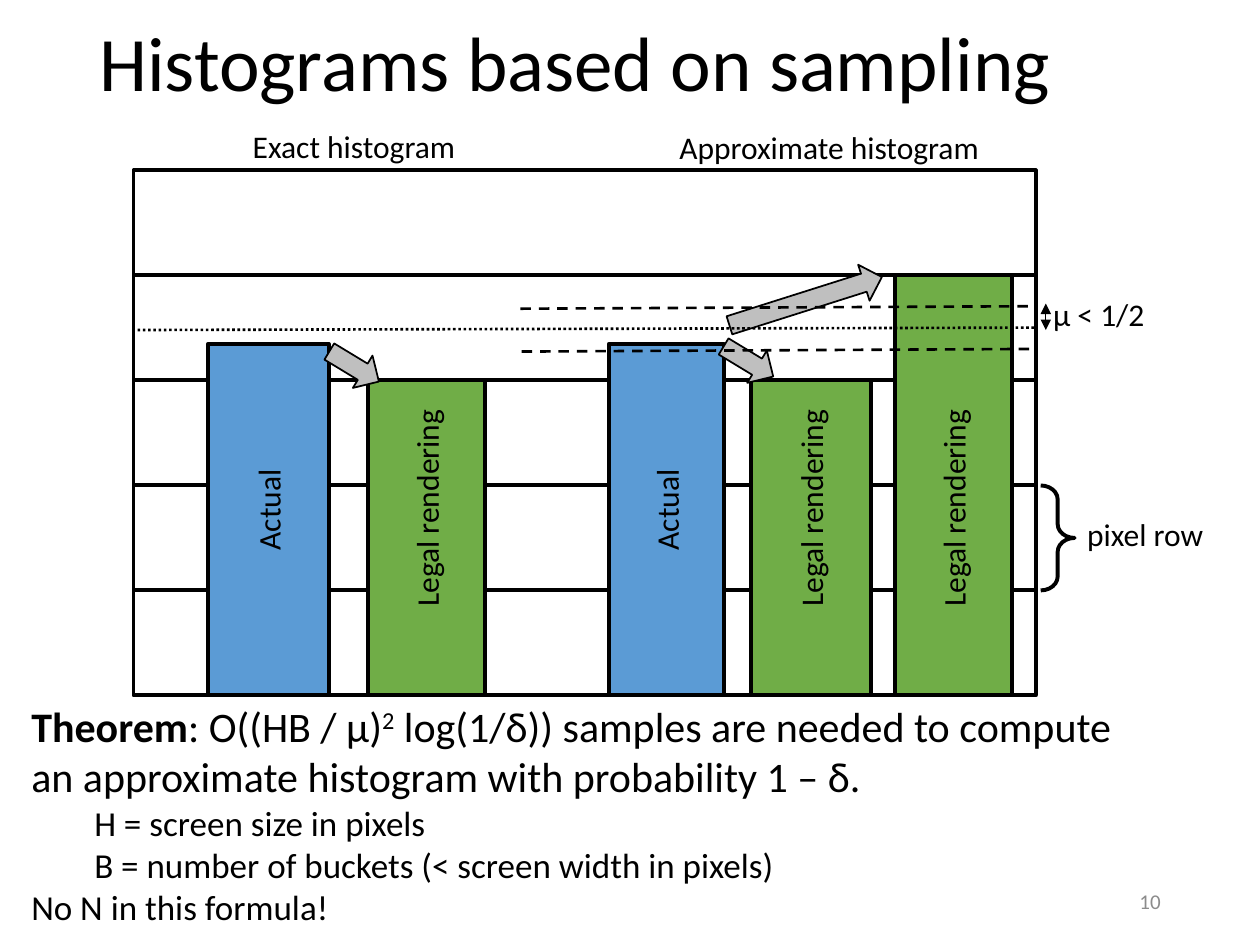
from dataclasses import dataclass
from typing import Optional

from lxml.etree import SubElement
from pptx import Presentation
from pptx.dml.color import RGBColor
from pptx.enum.dml import MSO_LINE
from pptx.enum.shapes import MSO_CONNECTOR, MSO_SHAPE
from pptx.enum.text import MSO_ANCHOR, PP_ALIGN
from pptx.oxml.ns import qn
from pptx.util import Pt

COLOURS = {
    "black": "000000",
    "actual": "5B9BD5",
    "legal": "70AD47",
    "arrow": "BFBFBF",
    "number": "8C8C8C",
}
FONT = "Calibri"

GRID_LEFT, GRID_TOP, GRID_WIDTH = 76.3, 97.4, 515.5
ROW_HEIGHT, ROW_COUNT = 60, 5
GRID_BOTTOM = GRID_TOP + ROW_COUNT * ROW_HEIGHT
ACTUAL_TOP = 196.6
LABEL_HEIGHT = 29


@dataclass
class Bar:
    left: float
    width: float
    top: float
    kind: str


@dataclass
class BlockArrow:
    left: float
    top: float
    width: float
    rotation: float


@dataclass
class Line:
    start: tuple[float, float]
    end: tuple[float, float]
    weight: float = 1.5
    dash: Optional[MSO_LINE] = None
    double_headed: bool = False


@dataclass
class Label:
    text: str
    left: float
    top: float
    width: float
    height: float = LABEL_HEIGHT
    size: float = 18
    colour: str = "black"
    align: PP_ALIGN = PP_ALIGN.LEFT
    anchor: MSO_ANCHOR = MSO_ANCHOR.TOP
    wrap: bool = False
    rotation: float = 0
    line_spacing: Optional[float] = None


@dataclass
class Span:
    text: str
    bold: bool = False
    superscript: bool = False
    break_after: bool = False


@dataclass
class TheoremLine:
    spans: list[Span]
    size: float = 20
    indent: float = 0


# Each bar's label and fill follow from its kind.
BAR_LABELS = {"actual": ("Actual", 61.2, 290.9), "legal": ("Legal rendering", 128.9, 289.4)}
BARS = [
    Bar(118.8, 69.1, ACTUAL_TOP, "actual"),
    Bar(210.2, 67, GRID_TOP + 2 * ROW_HEIGHT, "legal"),
    Bar(347.8, 66.2, ACTUAL_TOP, "actual"),
    Bar(429.1, 68.4, GRID_TOP + 2 * ROW_HEIGHT, "legal"),
    Bar(511.2, 67, GRID_TOP + ROW_HEIGHT, "legal"),
]
BLOCK_ARROWS = [
    BlockArrow(185.8, 198.7, 33.1, 31.2),
    BlockArrow(411.1, 195.8, 33.1, 31.2),
    BlockArrow(414.7, 161.3, 91.4, 342.4),
]
LINES = [
    Line((297.4, 176.4), (589, 175), dash=MSO_LINE.DASH),
    Line((298.1, 200.9), (590.4, 199.4), dash=MSO_LINE.DASH),
    Line((75.6, 188.6), (591.8, 187.2), dash=MSO_LINE.ROUND_DOT),
    Line((597.6, 173.5), (597.6, 188.6), weight=0.5, double_headed=True),
]
LABELS = [
    Label("Histograms based on sampling", 49.7, 8.6, 620.6, 59, size=44,
          anchor=MSO_ANCHOR.MIDDLE, wrap=True, line_spacing=0.9),
    Label("Exact histogram", 136.8, 69.1, 131, align=PP_ALIGN.CENTER),
    Label("Approximate histogram", 380.2, 69.8, 187.2, align=PP_ALIGN.CENTER),
    Label("μ < 1/2", 594.7, 164.9, 67.7),
    Label("pixel row", 614.2, 290.9, 81.4),
    Label("10", 508.3, 500.4, 162, size=12, colour="number",
          align=PP_ALIGN.RIGHT, anchor=MSO_ANCHOR.MIDDLE, wrap=True),
]
THEOREM = [
    TheoremLine([
        Span("Theorem", bold=True),
        Span(": O((HB / μ)"),
        Span("2", superscript=True),
        Span(" log(1/δ)) samples are needed to compute", break_after=True),
        Span("an approximate histogram with probability 1 – δ."),
    ], size=24),
    TheoremLine([Span("H = screen size in pixels")], indent=36),
    TheoremLine([Span("B = number of buckets (< screen width in pixels)")], indent=36),
    TheoremLine([Span("No N in this formula!")]),
]


def rgb(name: str) -> RGBColor:
    return RGBColor.from_string(COLOURS[name])


def add_outlined(page, kind: MSO_SHAPE, left: float, top: float, width: float,
                 height: float, fill: Optional[str] = None, weight: float = 2.25):
    shape = page.shapes.add_shape(kind, Pt(left), Pt(top), Pt(width), Pt(height))
    shape.shadow.inherit = False
    if fill:
        shape.fill.solid()
        shape.fill.fore_color.rgb = rgb(fill)
    else:
        shape.fill.background()
    shape.line.color.rgb = rgb("black")
    shape.line.width = Pt(weight)
    return shape


def add_span(paragraph, text: str, size: float, colour: str = "black"):
    span = paragraph.add_run()
    span.text = text
    span.font.name = FONT
    span.font.size = Pt(size)
    span.font.color.rgb = rgb(colour)
    return span


def add_label(page, label: Label) -> None:
    box = page.shapes.add_textbox(Pt(label.left), Pt(label.top), Pt(label.width), Pt(label.height))
    box.rotation = label.rotation
    box.text_frame.word_wrap = label.wrap
    box.text_frame.vertical_anchor = label.anchor
    paragraph = box.text_frame.paragraphs[0]
    paragraph.alignment = label.align
    paragraph.line_spacing = label.line_spacing
    add_span(paragraph, label.text, label.size, label.colour)


def add_bar_label(page, bar: Bar) -> None:
    """Write the bar's name upwards, centred across the bar."""
    text, length, middle = BAR_LABELS[bar.kind]
    left = bar.left + bar.width / 2 - length / 2
    add_label(page, Label(text, left, middle - LABEL_HEIGHT / 2, length, rotation=270))


def add_line(page, line: Line) -> None:
    connector = page.shapes.add_connector(
        MSO_CONNECTOR.STRAIGHT, *(Pt(value) for value in line.start + line.end))
    connector.line.color.rgb = rgb("black")
    connector.line.width = Pt(line.weight)
    if line.dash:
        connector.line.dash_style = line.dash
    if line.double_headed:
        for end in ("a:headEnd", "a:tailEnd"):
            SubElement(connector.line._get_or_add_ln(), qn(end), type="triangle")
    SubElement(connector._element.spPr, qn("a:effectLst"))


def add_theorem(page) -> None:
    box = page.shapes.add_textbox(Pt(10.8), Pt(396.7), Pt(638.6), Pt(138.2))
    frame = box.text_frame
    frame.word_wrap = False
    for index, line in enumerate(THEOREM):
        paragraph = frame.add_paragraph() if index else frame.paragraphs[0]
        if line.indent:
            paragraph._p.get_or_add_pPr().set("marL", str(Pt(line.indent)))
        for part in line.spans:
            span = add_span(paragraph, part.text, line.size)
            span.font.bold = part.bold
            if part.superscript:
                span._r.get_or_add_rPr().set("baseline", "30000")
            if part.break_after:
                paragraph.add_line_break()


def main() -> None:
    deck = Presentation()
    deck.slide_width, deck.slide_height = Pt(720), Pt(540)
    page = deck.slides.add_slide(deck.slide_layouts[6])

    for row in range(ROW_COUNT):
        add_outlined(page, MSO_SHAPE.RECTANGLE, GRID_LEFT, GRID_TOP + row * ROW_HEIGHT,
                     GRID_WIDTH, ROW_HEIGHT)
    for bar in BARS:
        add_outlined(page, MSO_SHAPE.RECTANGLE, bar.left, bar.top, bar.width,
                     GRID_BOTTOM - bar.top, bar.kind)
        add_bar_label(page, bar)
    for arrow in BLOCK_ARROWS:
        shape = add_outlined(page, MSO_SHAPE.RIGHT_ARROW, arrow.left, arrow.top,
                             arrow.width, 21.6, "arrow", weight=1)
        shape.rotation = arrow.rotation
    for line in LINES:
        add_line(page, line)
    brace = add_outlined(page, MSO_SHAPE.RIGHT_BRACE, 594.7, GRID_TOP + 3 * ROW_HEIGHT,
                         19.4, ROW_HEIGHT)
    brace.adjustments[0] = 0.41
    for label in LABELS:
        add_label(page, label)
    add_theorem(page)

    deck.save("out.pptx")


if __name__ == "__main__":
    main()
